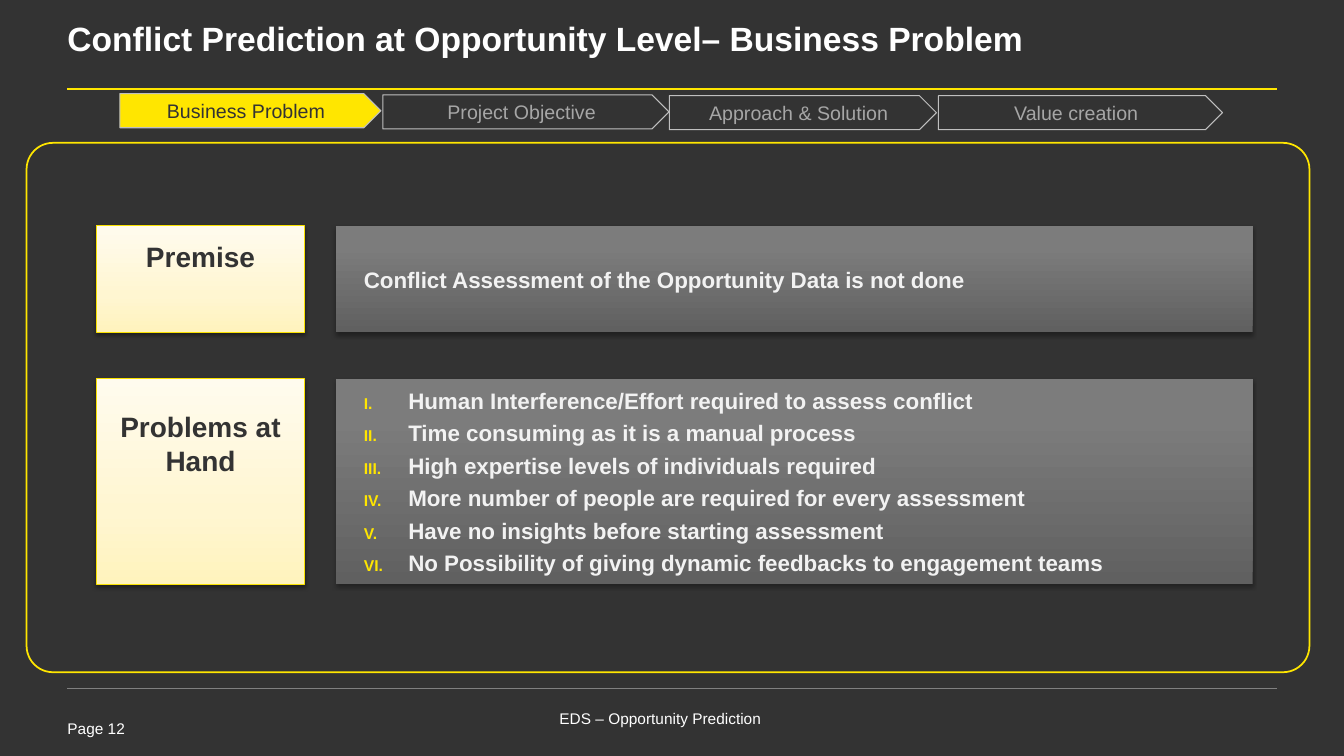
from copy import deepcopy
from dataclasses import dataclass

from lxml import etree
from pptx import Presentation
from pptx.dml.color import RGBColor
from pptx.enum.shapes import MSO_CONNECTOR, MSO_SHAPE
from pptx.enum.text import MSO_ANCHOR, PP_ALIGN
from pptx.oxml.ns import qn
from pptx.util import Cm, Pt

RECTANGLE = MSO_SHAPE.RECTANGLE
ROUNDED = MSO_SHAPE.ROUNDED_RECTANGLE
ARROW = MSO_SHAPE.PENTAGON
STRAIGHT = MSO_CONNECTOR.STRAIGHT
LEFT, CENTER = PP_ALIGN.LEFT, PP_ALIGN.CENTER
TOP, MIDDLE = MSO_ANCHOR.TOP, MSO_ANCHOR.MIDDLE


@dataclass(frozen=True)
class Theme:
    font: str = "Arial"
    dark: str = "333333"
    white: str = "FFFFFF"
    body: str = "F2F2F2"
    yellow: str = "FFE600"
    label_edge: str = "F9E100"
    stage_edge: str = "BFBFBF"
    stage_text: str = "A6A6A6"
    footer_rule: str = "808080"
    cream: tuple = ((0, "FFF3BD"), (0.35, "FFF6D1"), (1, "FFFBEE"))
    gray: tuple = ((0, "606060"), (0.8, "7C7C7C"), (1, "7D7D7D"))
    title_size: int = 24
    label_size: int = 20
    body_size: int = 16
    stage_size: int = 14
    footer_size: int = 11


THEME = Theme()


@dataclass(frozen=True)
class Area:
    """Left, top, width and height in centimetres."""
    left: float
    top: float
    width: float
    height: float

    def lengths(self) -> tuple:
        return Cm(self.left), Cm(self.top), Cm(self.width), Cm(self.height)


@dataclass(frozen=True)
class Style:
    size: int
    color: str
    bold: bool = False
    align: PP_ALIGN = LEFT
    anchor: MSO_ANCHOR = MIDDLE
    insets: tuple = (0.25, 0.13, 0.25, 0.13)
    numbered: bool = False


@dataclass(frozen=True)
class Stage:
    text: str
    left: float
    top: float
    width: float
    active: bool = False


@dataclass(frozen=True)
class Section:
    label: str
    label_bottom: float  # bottom inset that lifts the label
    top: float
    height: float
    lines: tuple
    numbered: bool = False


STAGES = (
    Stage("Business Problem", 3.02, 2.36, 6.58, active=True),
    Stage("Project Objective", 9.65, 2.39, 7.21),
    Stage("Approach & Solution", 16.87, 2.41, 6.73),
    Stage("Value creation", 23.65, 2.41, 7.16),
)
SECTIONS = (
    Section("Premise", 1.27, 5.69, 2.69,
            ("Conflict Assessment of the Opportunity Data is not done",)),
    Section("Problems at Hand", 2.06, 9.54, 5.18, (
        "Human Interference/Effort required to assess conflict",
        "Time consuming as it is a manual process",
        "High expertise levels of individuals required",
        "More number of people are required for every assessment",
        "Have no insights before starting assessment",
        "No Possibility of giving dynamic feedbacks to engagement teams",
    ), numbered=True),
)


def rgb(color: str) -> RGBColor:
    return RGBColor.from_string(color)


def add_numeral(para) -> None:
    """Small yellow Roman numeral with a hanging indent."""
    props = para._p.get_or_add_pPr()
    props.set("marL", str(Cm(1.12)))
    props.set("indent", str(-Cm(1.12)))
    color = etree.SubElement(props, qn("a:buClr"))
    etree.SubElement(color, qn("a:srgbClr"), val=THEME.yellow)
    etree.SubElement(props, qn("a:buSzPct"), val="70000")
    etree.SubElement(props, qn("a:buFont"), typeface=THEME.font)
    etree.SubElement(props, qn("a:buAutoNum"), type="romanUcPeriod")


def write(box, lines: tuple, style: Style) -> None:
    frame = box.text_frame
    frame.word_wrap = True
    frame.vertical_anchor = style.anchor
    (frame.margin_left, frame.margin_top,
     frame.margin_right, frame.margin_bottom) = map(Cm, style.insets)
    for index, line in enumerate(lines):
        para = frame.add_paragraph() if index else frame.paragraphs[0]
        para.alignment = style.align
        if style.numbered:
            add_numeral(para)
        if index:
            para.space_before = Pt(4)
        span = para.add_run()
        span.text = line
        span.font.name = THEME.font
        span.font.size = Pt(style.size)
        span.font.bold = style.bold
        span.font.color.rgb = rgb(style.color)


def add_text(page, area: Area, text: str, style: Style) -> None:
    write(page.shapes.add_textbox(*area.lengths()), (text,), style)


def add_rule(page, top: float, color: str, weight: float) -> None:
    rule = page.shapes.add_connector(STRAIGHT, Cm(1.7), Cm(top), Cm(32.18), Cm(top))
    rule.line.color.rgb = rgb(color)
    rule.line.width = Pt(weight)
    etree.SubElement(rule._element.spPr, qn("a:effectLst"))


def add_box(page, kind: MSO_SHAPE, area: Area, fill: str = "",
            edge: str = "", weight: float = 0.75):
    box = page.shapes.add_shape(kind, *area.lengths())
    box.shadow.inherit = False
    if fill:
        box.fill.solid()
        box.fill.fore_color.rgb = rgb(fill)
    else:
        box.fill.background()
    if edge:
        box.line.color.rgb = rgb(edge)
        box.line.width = Pt(weight)
    else:
        box.line.fill.background()
    return box


def add_panel(page, area: Area, stops: tuple, opacity: int, edge: str = ""):
    """Rectangle with an upward gradient and a soft shadow below."""
    panel = add_box(page, RECTANGLE, area, edge=edge)
    panel.fill.gradient()
    panel.fill.gradient_angle = 90
    stop_list = panel._element.spPr.find(qn("a:gradFill")).find(qn("a:gsLst"))
    stop_list.append(deepcopy(stop_list[0]))
    for stop, (position, color) in zip(panel.fill.gradient_stops, stops):
        stop.position = position
        stop.color.rgb = rgb(color)
    effects = panel._element.spPr.find(qn("a:effectLst"))
    shadow = etree.SubElement(effects, qn("a:outerShdw"), blurRad=str(Pt(3.1)),
                              dist=str(Pt(1.7)), dir="5400000", rotWithShape="0")
    black = etree.SubElement(shadow, qn("a:srgbClr"), val="000000")
    etree.SubElement(black, qn("a:alpha"), val=str(opacity * 1000))
    return panel


def add_stage(page, stage: Stage) -> None:
    box = add_box(page, ARROW, Area(stage.left, stage.top, stage.width, 0.86),
                  THEME.yellow if stage.active else "", THEME.stage_edge)
    color = THEME.dark if stage.active else THEME.stage_text
    write(box, (stage.text,), Style(THEME.stage_size, color, align=CENTER))


def add_section(page, section: Section) -> None:
    label = add_panel(page, Area(2.44, section.top, 5.23, section.height),
                      THEME.cream, 38, THEME.label_edge)
    write(label, (section.label,),
          Style(THEME.label_size, THEME.dark, bold=True, align=CENTER,
                insets=(0.25, 0.13, 0.25, section.label_bottom)))
    panel = add_panel(page, Area(8.46, section.top, 23.11, section.height),
                      THEME.gray, 35)
    write(panel, section.lines,
          Style(THEME.body_size, THEME.body, bold=True,
                insets=(0.71, 0.13, 0.25, 0.13), numbered=section.numbered))


def main() -> None:
    deck = Presentation()
    deck.slide_width, deck.slide_height = Cm(33.87), Cm(19.05)
    page = deck.slides.add_slide(deck.slide_layouts[6])
    page.background.fill.solid()
    page.background.fill.fore_color.rgb = rgb(THEME.dark)

    # Footer
    footer = Style(THEME.footer_size, THEME.white, anchor=TOP, insets=(0, 0, 0, 0))
    add_text(page, Area(1.7, 18.11, 2.46, 0.56), "Page 12", footer)
    add_text(page, Area(14.1, 17.86, 6.4, 0.58), "EDS – Opportunity Prediction", footer)
    add_rule(page, 17.35, THEME.footer_rule, 0.25)

    # Title
    add_rule(page, 2.24, THEME.yellow, 1.5)
    add_text(page, Area(1.7, 0, 30.48, 1.93),
             "Conflict Prediction at Opportunity Level– Business Problem",
             Style(THEME.title_size, THEME.white, bold=True, insets=(0, 0, 0, 0)))

    # Frame and stage arrows
    frame = add_box(page, ROUNDED, Area(0.67, 3.6, 32.33, 13.34),
                    edge=THEME.yellow, weight=1.25)
    frame.adjustments[0] = 0.05
    for stage in STAGES:
        add_stage(page, stage)

    # Labelled sections
    for section in SECTIONS:
        add_section(page, section)

    deck.save("out.pptx")


if __name__ == "__main__":
    main()
